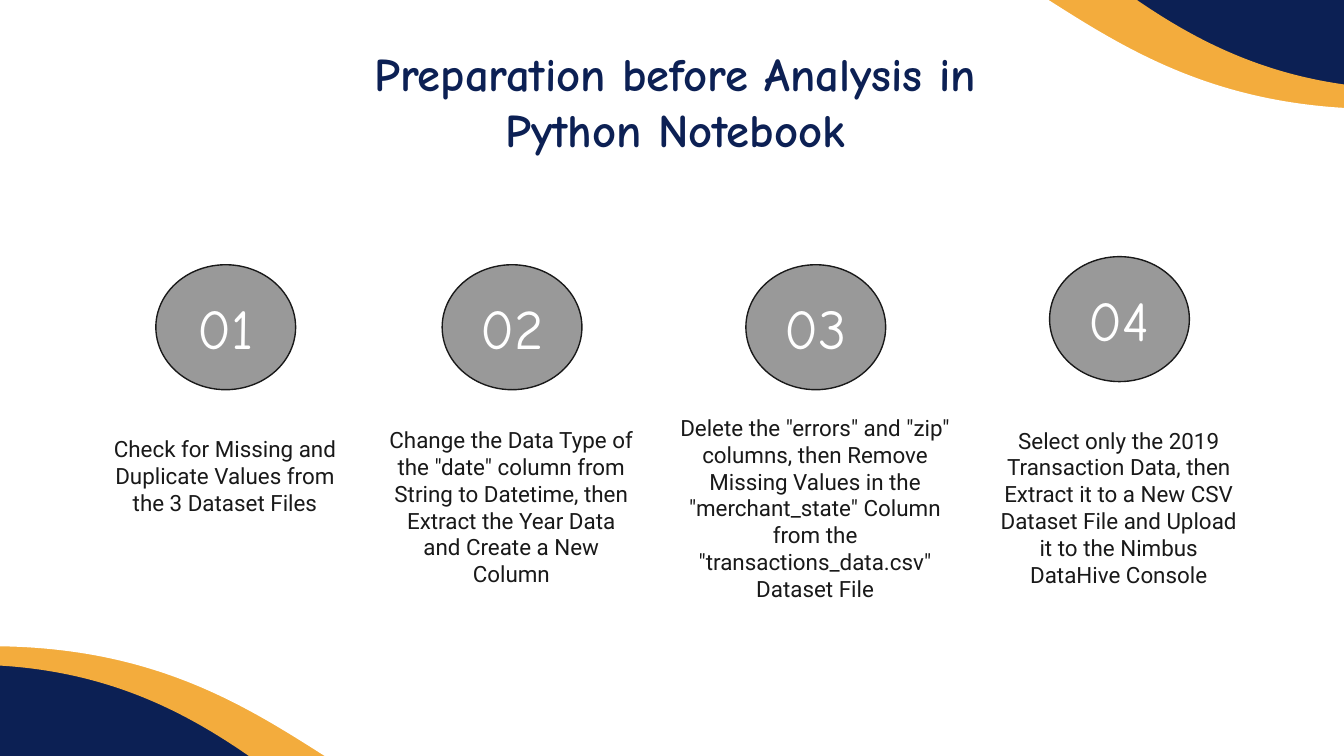
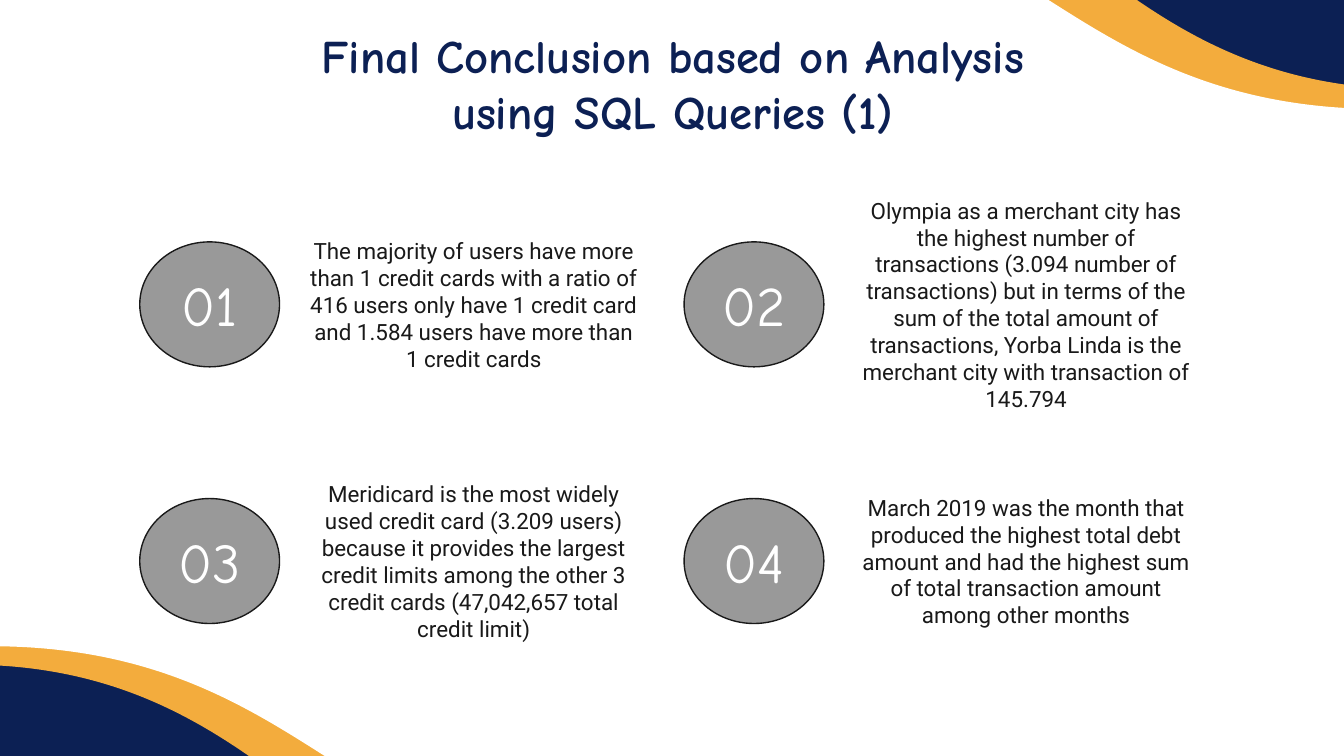
from pptx import Presentation
from pptx.dml.color import RGBColor
from pptx.enum.shapes import MSO_SHAPE
from pptx.enum.text import MSO_ANCHOR, PP_ALIGN
from pptx.util import Inches, Pt

COLORS = {"navy": "0C2054", "amber": "F3AC3D", "white": "FFFFFF", "gray": "999999", "ink": "191919"}
HEADING_FONT, BODY_FONT = "Comic Neue", "Roboto"
BADGE_WIDTH, BADGE_HEIGHT = 1.04, 0.93

WAVES = [
    ((-0.24, -2.4, 5.6, 9.16), 0, "amber"),
    ((4.93, -1.15, 5.6, 9.16), 180, "amber"),
    ((-0.07, -1.39, 5.6, 7.73), 0, "white"),
    ((4.68, -0.72, 5.6, 7.73), 180, "white"),
]

PREPARATION_TITLE = ("Preparation before Analysis in Python Notebook", (2.56, 0.23, 4.93, 1.04))
PREPARATION_STEPS = [
    ("Check for Missing and Duplicate Values from the 3 Dataset Files",
     (1.16, 1.97), (0.66, 3.1, 2.03, 0.88)),
    ('Change the Data Type of the "date" column from String to Datetime, '
     "then Extract the Year Data and Create a New Column",
     (3.29, 1.97), (2.79, 3.09, 2.03, 1.36)),
    ('Delete the "errors" and "zip" columns, then Remove Missing Values in the '
     '"merchant_state" Column from the "transactions_data.csv" Dataset File',
     (5.55, 1.97), (4.92, 3.1, 2.29, 1.36)),
    ("Select only the 2019 Transaction Data, then Extract it to a New CSV "
     "Dataset File and Upload it to the Nimbus DataHive Console",
     (7.81, 1.91), (7.31, 3.07, 2.03, 1.41)),
]

CONCLUSION_TITLE = ("Final Conclusion based on Analysis using SQL Queries (1)", (2.13, 0.1, 5.75, 1.04))
CONCLUSIONS = [
    ("The majority of users have more than 1 credit cards with a ratio of 416 users "
     "only have 1 credit card and 1.584 users have more than 1 credit cards", 1.21),
    ("Olympia as a merchant city has the highest number of transactions (3.094 number of "
     "transactions) but in terms of the sum of the total amount of transactions, "
     "Yorba Linda is the merchant city with transaction of 145.794", 1.83),
    ("Meridicard is the most widely used credit card (3.209 users) because it provides the "
     "largest credit limits among the other 3 credit cards (47,042,657 total credit limit)", 1.41),
    ("March 2019 was the month that produced the highest total debt amount and had the "
     "highest sum of total transaction amount among other months", 1.21),
]
CONCLUSION_COLUMNS = [(1.04, 2.2), (5.09, 6.31)]
CONCLUSION_ROWS = [1.8, 3.71]
CONCLUSION_WIDTH = 2.65


def color(name):
    return RGBColor.from_string(COLORS[name])


def write(shape, text, size, font, color_name, bold=False):
    frame = shape.text_frame
    frame.word_wrap = True
    frame.vertical_anchor = MSO_ANCHOR.MIDDLE
    frame.margin_left = frame.margin_right = frame.margin_top = frame.margin_bottom = Inches(0.1)
    paragraph = frame.paragraphs[0]
    paragraph.alignment = PP_ALIGN.CENTER
    run = paragraph.add_run()
    run.text = text
    run.font.size = Pt(size)
    run.font.name = font
    run.font.bold = bold
    run.font.color.rgb = color(color_name)


def add_filled(slide, preset, box, fill):
    shape = slide.shapes.add_shape(preset, *map(Inches, box))
    shape.shadow.inherit = False
    shape.fill.solid()
    shape.fill.fore_color.rgb = color(fill)
    return shape


def add_text(slide, text, box, *style):
    write(slide.shapes.add_textbox(*map(Inches, box)), text, *style)


def add_wave(slide, box, rotation, fill):
    wave = add_filled(slide, MSO_SHAPE.FLOWCHART_DOCUMENT, box, fill)
    wave.line.fill.background()
    wave.rotation = rotation
    wave.element.spPr.get_or_add_xfrm().set("flipH", "1")


def add_badge(slide, number, left, top):
    badge = add_filled(slide, MSO_SHAPE.OVAL, (left, top, BADGE_WIDTH, BADGE_HEIGHT), "gray")
    badge.line.color.rgb = color("ink")
    badge.line.width = Pt(0.75)
    write(badge, f"{number:02}", 30, HEADING_FONT, "white")


def place_conclusions():
    items = []
    for index, (text, height) in enumerate(CONCLUSIONS):
        row, column = divmod(index, len(CONCLUSION_COLUMNS))
        badge_left, text_left = CONCLUSION_COLUMNS[column]
        top = CONCLUSION_ROWS[row]
        text_top = top + (BADGE_HEIGHT - height) / 2
        items.append((text, (badge_left, top), (text_left, text_top, CONCLUSION_WIDTH, height)))
    return items


def add_slide(presentation, title, items):
    slide = presentation.slides.add_slide(presentation.slide_layouts[6])
    slide.background.fill.solid()
    slide.background.fill.fore_color.rgb = color("navy")
    for wave in WAVES:
        add_wave(slide, *wave)
    add_text(slide, *title, 25, HEADING_FONT, "navy", True)
    for number, (text, badge_corner, text_box) in enumerate(items, 1):
        add_badge(slide, number, *badge_corner)
        add_text(slide, text, text_box, 12, BODY_FONT, "ink")


def main():
    """Build the preparation and conclusion slides."""
    presentation = Presentation()
    presentation.slide_width = Inches(10)
    presentation.slide_height = Inches(10) * 9 // 16
    add_slide(presentation, PREPARATION_TITLE, PREPARATION_STEPS)
    add_slide(presentation, CONCLUSION_TITLE, place_conclusions())
    presentation.save("out.pptx")


if __name__ == "__main__":
    main()
